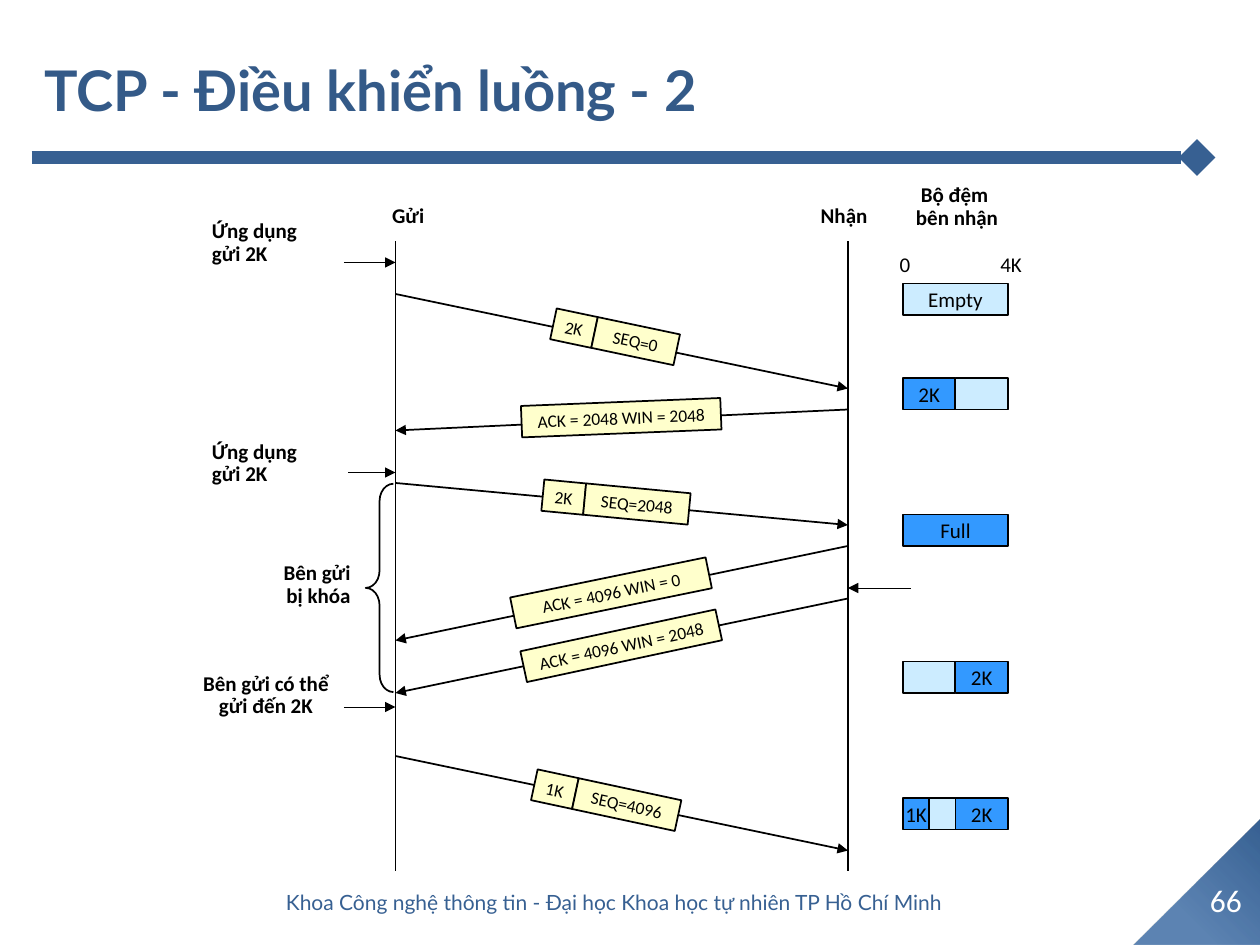
from math import cos, radians, sin

from lxml.etree import SubElement
from pptx import Presentation
from pptx.dml.color import RGBColor
from pptx.enum.shapes import MSO_CONNECTOR, MSO_SHAPE as Shape
from pptx.enum.text import MSO_ANCHOR as Anchor, MSO_AUTO_SIZE as AutoSize, PP_ALIGN as Align
from pptx.oxml import parse_xml
from pptx.oxml.ns import nsdecls, qn
from pptx.util import Pt

SENDER_X, RECEIVER_X = 226, 484.5
BUFFER_LEFT = 516
BLACK, WHITE, NAVY = "000000", "FFFFFF", "376092"
PACKET, FREE, USED = "FFFFCC", "CCECFF", "3399FF"
CORNER_GRADIENT = f"""<a:gradFill {nsdecls('a')} rotWithShape="1"><a:gsLst>
<a:gs pos="0"><a:srgbClr val="376092"/></a:gs>
<a:gs pos="68000"><a:srgbClr val="3D6CA4"><a:alpha val="83000"/></a:srgbClr></a:gs>
</a:gsLst><a:path path="circle"><a:fillToRect l="100000" b="100000"/></a:path></a:gradFill>"""


def rgb(value):
    return RGBColor.from_string(value)


def write(frame, text, size=12, font="Calibri", color=BLACK, bold=False,
          align=Align.LEFT, anchor=Anchor.TOP, spacing=None, wrap=True, fit=AutoSize.NONE):
    frame.word_wrap = wrap
    frame.auto_size = fit
    frame.vertical_anchor = anchor
    for index, words in enumerate(text.split("\n")):
        paragraph = frame.add_paragraph() if index else frame.paragraphs[0]
        paragraph.alignment = align
        paragraph.line_spacing = spacing
        run = paragraph.add_run()
        run.text = words
        run.font.size = Pt(size)
        run.font.name = font
        run.font.bold = bold
        run.font.color.rgb = rgb(color)


def label(slide, text, left, top, width, height, **style):
    box = slide.shapes.add_textbox(Pt(left), Pt(top), Pt(width), Pt(height))
    write(box.text_frame, text, **style)
    return box


def caption(slide, text, left, top, width, height, **style):
    return label(slide, text, left, top, width, height, bold=True, spacing=0.9,
                 fit=AutoSize.SHAPE_TO_FIT_TEXT, **style)


def sender_event(slide, text, left, top, width, align):
    event = caption(slide, text, left, top, width, 33, align=align)
    event.fill.solid()
    event.fill.fore_color.rgb = rgb(WHITE)


def line(slide, start, end, weight=1, color=BLACK, head=None):
    connector = slide.shapes.add_connector(
        MSO_CONNECTOR.STRAIGHT, *(Pt(value) for value in (*start, *end)))
    connector.line.width = Pt(weight)
    connector.line.color.rgb = rgb(color)
    if head:
        SubElement(connector.line._get_or_add_ln(), qn("a:tailEnd"), type=head)
    SubElement(connector._element.spPr, qn("a:effectLst"))


def outline(slide, kind, left, top, width, height):
    shape = slide.shapes.add_shape(kind, Pt(left), Pt(top), Pt(width), Pt(height))
    shape.shadow.inherit = False
    shape.fill.background()
    shape.line.color.rgb = rgb(BLACK)
    shape.line.width = Pt(1)
    return shape


def cell(slide, text, left, top, width, height, fill, size=12, angle=0):
    block = outline(slide, Shape.RECTANGLE, left, top, width, height)
    block.rotation = angle
    block.fill.solid()
    block.fill.fore_color.rgb = rgb(fill)
    if text:
        write(block.text_frame, text, size=size, align=Align.CENTER,
              anchor=Anchor.MIDDLE, wrap=False)


def packet(slide, center_x, center_y, angle, fields):
    along = -sum(width for _, width in fields) / 2
    for text, width in fields:
        middle = along + width / 2
        x = center_x + middle * cos(radians(angle))
        y = center_y + middle * sin(radians(angle))
        cell(slide, text, x - width / 2, y - 9, width, 18, PACKET, 10, angle)
        along += width


def receive_buffer(slide, top, parts):
    left = BUFFER_LEFT
    for text, width, fill in parts:
        cell(slide, text, left, top, width, 18, fill)
        left += width


def frame_page(slide):
    corner = outline(slide, Shape.RIGHT_TRIANGLE, 648, 468, 72, 72)
    corner.rotation = 270
    corner.line.fill.background()
    properties = corner._element.spPr
    properties.replace(properties.find(qn("a:noFill")), parse_xml(CORNER_GRADIENT))
    line(slide, (18, 90), (684, 90), 7, NAVY, "diamond")
    title = slide.shapes.title
    title.left, title.top, title.width, title.height = Pt(18), Pt(6), Pt(689), Pt(90)
    write(title.text_frame, "TCP - Điều khiển luồng - 2", size=32, font="Lato",
          color="345A88", bold=True, anchor=Anchor.MIDDLE)
    label(slide, "66", 681, 499.5, 39, 29, size=18, color=WHITE,
          align=Align.CENTER, anchor=Anchor.MIDDLE)
    label(slide, "Khoa Công nghệ thông tin - Đại học Khoa học tự nhiên TP Hồ Chí Minh",
          90, 501, 522, 29, font="Lato", color=NAVY, align=Align.CENTER, anchor=Anchor.MIDDLE)


def draw_messages(slide):
    for x in (SENDER_X, RECEIVER_X):
        line(slide, (x, 138), (x, 498))
    for source, target, start_y, end_y in (
            (SENDER_X, RECEIVER_X, 168, 222), (RECEIVER_X, SENDER_X, 234, 246),
            (SENDER_X, RECEIVER_X, 276, 300), (RECEIVER_X, SENDER_X, 312, 366),
            (RECEIVER_X, SENDER_X, 342, 396), (SENDER_X, RECEIVER_X, 432, 486)):
        line(slide, (source, start_y), (target, end_y), head="triangle")
    packet(slide, 351.5, 192.5, 11.9, [("2K", 24), ("SEQ=0", 48)])
    packet(slide, 355, 238.7, -2.3, [("ACK = 2048 WIN = 2048", 114)])
    packet(slide, 352, 286.9, 5.4, [("2K", 24), ("SEQ=2048", 60)])
    packet(slide, 349.2, 338.8, -11.6, [("ACK = 4096 WIN = 0", 114)])
    packet(slide, 355, 369, -12.1, [("ACK = 4096 WIN = 2048", 114)])
    packet(slide, 346.4, 457.3, 12.1, [("1K", 24), ("SEQ=4096", 60)])


def draw_events(slide):
    sender_event(slide, "Ứng dụng\ngửi 2K", 114, 122.4, 85, Align.LEFT)
    sender_event(slide, "Ứng dụng\ngửi 2K", 114, 248.4, 85, Align.LEFT)
    sender_event(slide, "Bên gửi\nbị khóa", 144, 318, 63.4, Align.RIGHT)
    sender_event(slide, "Bên gửi có thể\ngửi đến 2K", 102, 381, 100, Align.CENTER)
    for start_x, end_x, y in ((196.5, SENDER_X, 150), (199, SENDER_X, 270),
                              (196.5, SENDER_X, 404), (520.5, RECEIVER_X, 336)):
        line(slide, (start_x, y), (end_x, y), 0.25, head="triangle")
    blocked = outline(slide, Shape.LEFT_BRACE, 209, 276.5, 15.8, 119)
    blocked.adjustments[0] = 0.63
    blocked.adjustments[1] = 0.5


def draw_buffers(slide):
    receive_buffer(slide, 162, [("Empty", 60, FREE)])
    receive_buffer(slide, 216, [("2K", 30, USED), ("", 30, FREE)])
    receive_buffer(slide, 294, [("Full", 60, USED)])
    receive_buffer(slide, 378, [("", 30, FREE), ("2K", 30, USED)])
    receive_buffer(slide, 456, [("1K", 15, USED), ("", 15, FREE), ("2K", 30, USED)])
    for text, left, width in (("0", 507, 21), ("4K", 564.5, 29)):
        label(slide, text, left, 140.4, width, 21.6, wrap=False)
    for text, left, top, width, height in (
            ("Bộ đệm\n bên nhận", 510, 102, 71, 33),
            ("Nhận", 460, 114, 44.6, 20), ("Gửi", 215.3, 114, 36, 20)):
        caption(slide, text, left, top, width, height, align=Align.CENTER, wrap=False)


def main():
    deck = Presentation()
    deck.slide_width, deck.slide_height = Pt(720), Pt(540)
    slide = deck.slides.add_slide(deck.slide_layouts[5])
    frame_page(slide)
    draw_messages(slide)
    draw_events(slide)
    draw_buffers(slide)
    deck.save("out.pptx")


if __name__ == "__main__":
    main()
